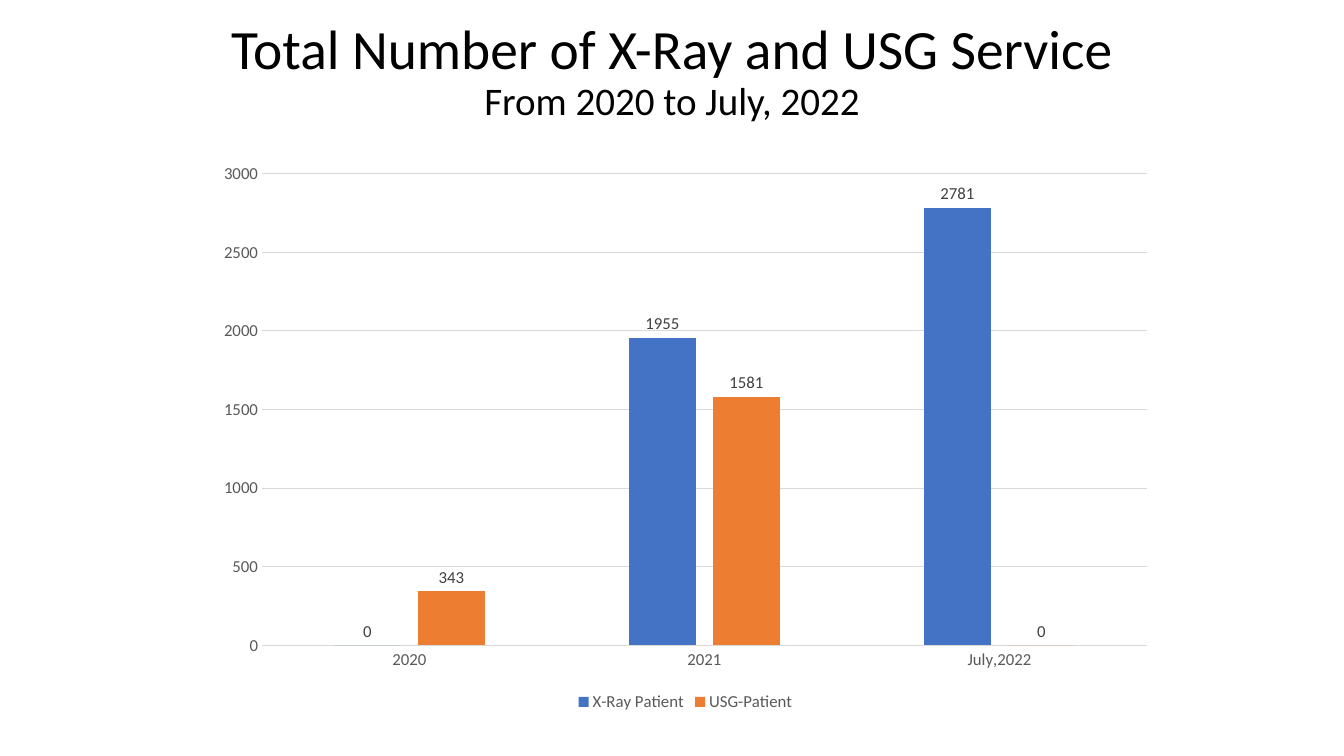
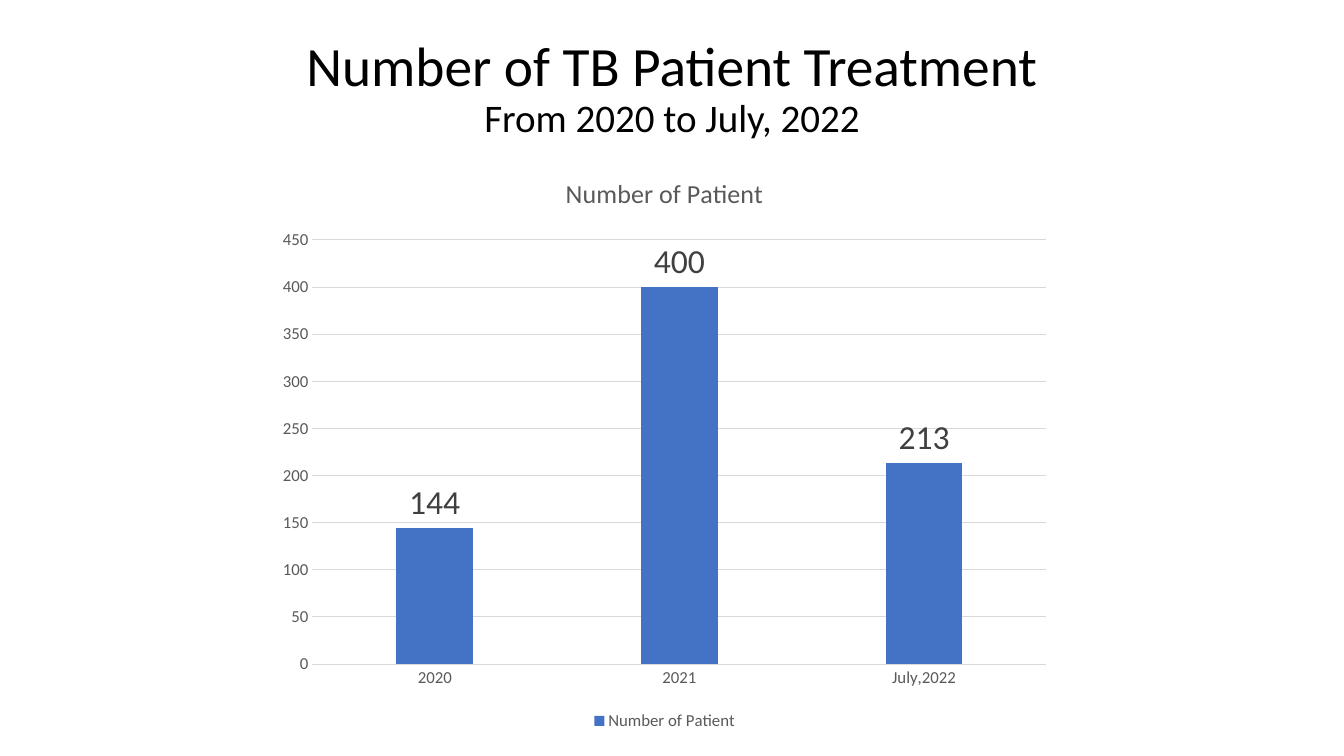
from pptx import Presentation
from pptx.chart.data import CategoryChartData
from pptx.dml.color import RGBColor
from pptx.enum import chart as chart_enum, text
from pptx.util import Cm, Pt

FONT = "Calibri"
BLACK, GREY, DARK_GREY, RULE = "000000", "595959", "404040", "D9D9D9"
SERIES_COLOURS = ["4472C4", "ED7D31"]
TITLE_ONLY = 5
PERIOD = "From 2020 to July, 2022"
YEARS = ["2020", "2021", "July,2022"]


def colour(hex_string):
    """Turn a hex string into a colour."""
    return RGBColor.from_string(hex_string)


def style_font(font, size, hex_string):
    """Apply the shared typeface with a size and colour."""
    font.name = FONT
    font.size = Pt(size)
    font.bold = False
    font.color.rgb = colour(hex_string)


def style_line(line, hex_string):
    """Draw a thin chart rule."""
    line.color.rgb = colour(hex_string)
    line.width = Pt(0.75)


def add_title(slide, heading, box):
    """Place the heading and the period in the title placeholder."""
    title = slide.shapes.title
    title.left, title.top, title.width, title.height = map(Cm, box)
    frame = title.text_frame
    frame.text = f"{heading}\v{PERIOD}"
    frame.word_wrap = True
    frame.auto_size = text.MSO_AUTO_SIZE.NONE
    frame.vertical_anchor = text.MSO_ANCHOR.MIDDLE
    paragraph = frame.paragraphs[0]
    paragraph.alignment = text.PP_ALIGN.CENTER
    paragraph.line_spacing = 0.9
    for run, size in zip(paragraph.runs, (39.6, 27.9)):
        style_font(run.font, size, BLACK)


def style_axes(chart, maximum, step):
    """Format the category and value axes."""
    for axis in (chart.category_axis, chart.value_axis):
        axis.major_tick_mark = chart_enum.XL_TICK_MARK.NONE
        axis.minor_tick_mark = chart_enum.XL_TICK_MARK.NONE
        style_font(axis.tick_labels.font, 12, GREY)
    style_line(chart.category_axis.format.line, RULE)
    values = chart.value_axis
    values.minimum_scale, values.maximum_scale = 0, maximum
    values.major_unit = step
    values.format.line.fill.background()
    style_line(values.major_gridlines.format.line, RULE)


def style_series(series, hex_string, label_size):
    """Fill one series and label its columns."""
    series.format.fill.solid()
    series.format.fill.fore_color.rgb = colour(hex_string)
    series.invert_if_negative = False
    labels = series.data_labels
    labels.show_value = True
    labels.position = chart_enum.XL_LABEL_POSITION.OUTSIDE_END
    style_font(labels.font, label_size, DARK_GREY)


def add_column_chart(slide, box, series_values, maximum, step, label_size, chart_title):
    """Place a clustered column chart with its legend below."""
    data = CategoryChartData()
    data.categories = YEARS
    for name, values in series_values.items():
        data.add_series(name, values)
    kind = chart_enum.XL_CHART_TYPE.COLUMN_CLUSTERED
    chart = slide.shapes.add_chart(kind, *map(Cm, box), data).chart
    style_font(chart.font, 10, BLACK)
    chart.has_title = bool(chart_title)
    if chart_title:
        frame = chart.chart_title.text_frame
        frame.text = chart_title
        style_font(frame.paragraphs[0].runs[0].font, 18.6, GREY)
        chart.chart_title.include_in_layout = False
    chart.has_legend = True
    chart.legend.position = chart_enum.XL_LEGEND_POSITION.BOTTOM
    chart.legend.include_in_layout = False
    style_font(chart.legend.font, 12, GREY)
    style_axes(chart, maximum, step)
    plot = chart.plots[0]
    plot.gap_width, plot.overlap = 219, -27
    plot.vary_by_categories = False
    for series, hex_string in zip(plot.series, SERIES_COLOURS):
        style_series(series, hex_string, label_size)


def add_chart_slide(presentation, heading, title_top, chart_box, series_values,
                    maximum, step, label_size=12, chart_title=None):
    """Add a slide with a two-line title over a column chart."""
    slide = presentation.slides.add_slide(presentation.slide_layouts[TITLE_ONLY])
    add_title(slide, heading, (2.33, title_top, 29.21, 2.8))
    add_column_chart(slide, chart_box, series_values, maximum, step,
                     label_size, chart_title)


def main():
    """Build and save the presentation."""
    presentation = Presentation()
    presentation.slide_width, presentation.slide_height = Cm(33.87), Cm(19.05)
    add_chart_slide(
        presentation, "Total Number of X-Ray and USG Service", 0.44,
        (5.16, 3.84, 24.23, 14.2),
        {"X-Ray Patient": (0, 1955, 2781), "USG-Patient": (343, 1581, 0)},
        maximum=3000, step=500)
    add_chart_slide(
        presentation, "Number of TB Patient Treatment", 0.87,
        (6.73, 3.86, 20.04, 14.66), {"Number of Patient": (144, 400, 213)},
        maximum=450, step=50, label_size=24, chart_title="Number of Patient")
    presentation.save("out.pptx")


if __name__ == "__main__":
    main()
